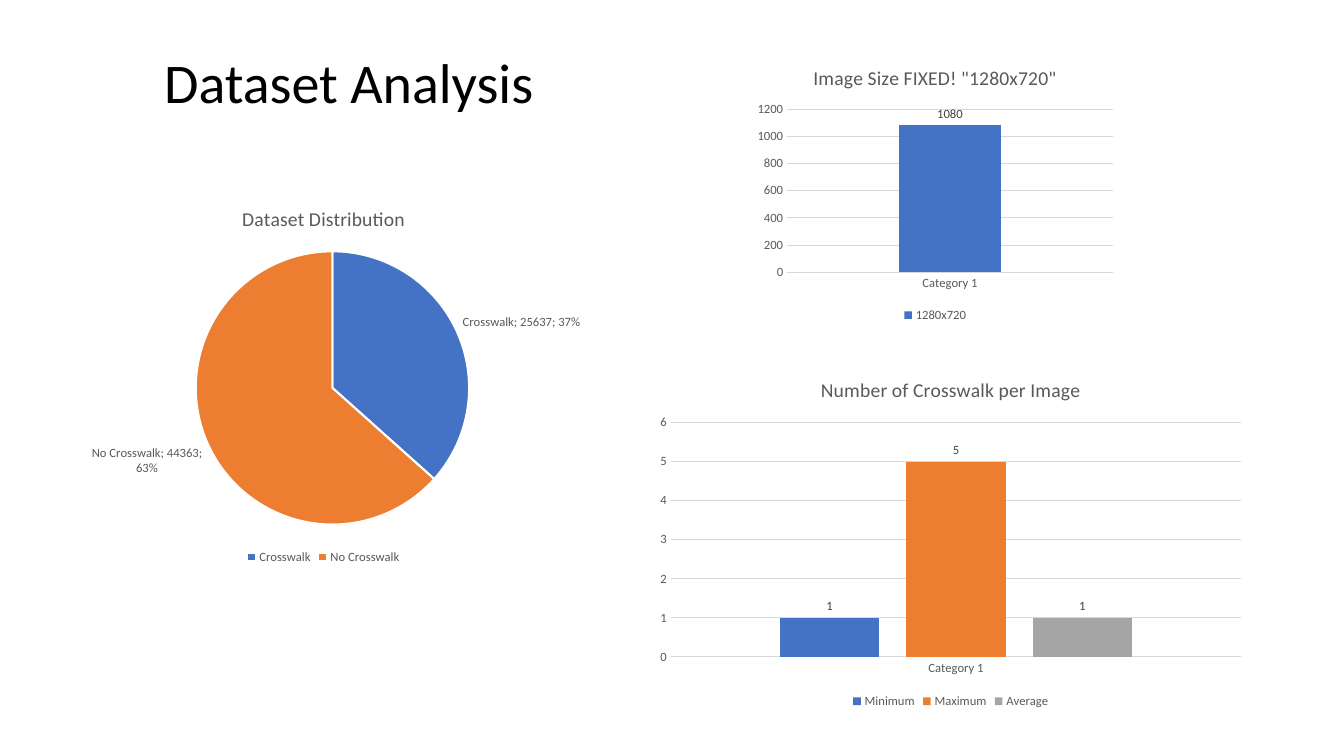
from dataclasses import dataclass

from lxml import etree
from pptx import Presentation
from pptx.chart.data import CategoryChartData
from pptx.dml.color import RGBColor
from pptx.enum.chart import XL_CHART_TYPE, XL_LABEL_POSITION, XL_LEGEND_POSITION, XL_TICK_MARK
from pptx.enum.text import MSO_ANCHOR
from pptx.oxml.ns import qn
from pptx.util import Inches, Pt

COLUMN = XL_CHART_TYPE.COLUMN_CLUSTERED
PIE = XL_CHART_TYPE.PIE
OUTSIDE_END = XL_LABEL_POSITION.OUTSIDE_END
LEGEND_BOTTOM = XL_LEGEND_POSITION.BOTTOM
NO_TICK = XL_TICK_MARK.NONE
ANCHOR_BOTTOM = MSO_ANCHOR.BOTTOM


@dataclass(frozen=True)
class Theme:
    font: str = "Calibri"
    black: str = "000000"
    white: str = "FFFFFF"
    muted: str = "595959"
    value_text: str = "404040"
    grid: str = "D9D9D9"
    palette: tuple = ("4472C4", "ED7D31", "A5A5A5")
    heading_size: int = 40
    chart_title_size: int = 14
    chart_size: int = 10
    small_size: int = 9


THEME = Theme()


def set_attributes(target, values):
    for name, value in values.items():
        setattr(target, name, value)


def style_font(font, size, color):
    set_attributes(font, {"name": THEME.font, "size": Pt(size), "bold": False})
    font.color.rgb = RGBColor.from_string(color)


def style_line(line, color, width):
    line.color.rgb = RGBColor.from_string(color)
    line.width = Pt(width)


def fill_solid(part, color):
    part.format.fill.solid()
    part.format.fill.fore_color.rgb = RGBColor.from_string(color)


def add_heading(slide, text, box):
    shape = slide.shapes.add_textbox(*map(Inches, box))
    frame = shape.text_frame
    set_attributes(frame, {"word_wrap": True, "vertical_anchor": ANCHOR_BOTTOM})
    paragraph = frame.paragraphs[0]
    paragraph.line_spacing = 0.9
    run = paragraph.add_run()
    run.text = text
    style_font(run.font, THEME.heading_size, THEME.black)


def add_chart(slide, kind, title, box, categories, series):
    data = CategoryChartData()
    data.categories = categories
    for name, values in series:
        data.add_series(name, values)
    chart = slide.shapes.add_chart(kind, *map(Inches, box), data).chart
    style_font(chart.font, THEME.chart_size, THEME.black)
    chart.has_title = True
    paragraph = chart.chart_title.text_frame.paragraphs[0]
    run = paragraph.add_run()
    run.text = title
    style_font(run.font, THEME.chart_title_size, THEME.muted)
    chart.has_legend = True
    set_attributes(chart.legend, {"position": LEGEND_BOTTOM, "include_in_layout": False})
    style_font(chart.legend.font, THEME.small_size, THEME.muted)
    return chart


def add_labels(series, color, shown):
    labels = series.data_labels
    set_attributes(labels, {"position": OUTSIDE_END, **shown})
    style_font(labels.font, THEME.small_size, color)
    return labels


def style_axis(axis):
    set_attributes(axis, {"major_tick_mark": NO_TICK, "minor_tick_mark": NO_TICK})
    style_font(axis.tick_labels.font, THEME.small_size, THEME.muted)


def add_column_chart(slide, title, box, series):
    chart = add_chart(slide, COLUMN, title, box, ["Category 1"], series)
    plot = chart.plots[0]
    set_attributes(plot, {"gap_width": 219, "overlap": -27, "vary_by_categories": False})
    for axis in (chart.category_axis, chart.value_axis):
        style_axis(axis)
    style_line(chart.category_axis.format.line, THEME.grid, 0.75)
    chart.value_axis.format.line.fill.background()
    style_line(chart.value_axis.major_gridlines.format.line, THEME.grid, 0.75)
    for column, color in zip(plot.series, THEME.palette):
        fill_solid(column, color)
        add_labels(column, THEME.value_text, {"show_value": True})


def add_pie_chart(slide, title, box, categories, values):
    chart = add_chart(slide, PIE, title, box, categories, [("Series 1", values)])
    plot = chart.plots[0]
    plot.vary_by_categories = True
    pie = plot.series[0]
    for index, color in enumerate(THEME.palette[:len(values)]):
        point = pie.points[index]
        fill_solid(point, color)
        style_line(point.format.line, THEME.white, 1.5)
    shown = {"show_value": True, "show_percentage": True, "show_category_name": True}
    add_labels(pie, THEME.muted, shown)
    separator = etree.Element(qn("c:separator"))
    separator.text = "; "
    labels_xml = plot.series[0].data_labels._element
    labels_xml.find(qn("c:showBubbleSize")).addnext(separator)


def main():
    presentation = Presentation()
    set_attributes(presentation, {"slide_width": Inches(13.33), "slide_height": Inches(7.5)})
    slide = presentation.slides.add_slide(presentation.slide_layouts[6])
    add_heading(slide, "Dataset Analysis", (1.53, -1.24, 6.35, 2.44))
    add_column_chart(slide, "Number of Crosswalk per Image", (6.43, 3.57, 6, 3.5),
                     [("Minimum", [1]), ("Maximum", [5]), ("Average", [1])])
    add_column_chart(slide, 'Image Size FIXED! "1280x720"', (7.44, 0.49, 3.67, 2.75),
                     [("1280x720", [1080])])
    add_pie_chart(slide, "Dataset Distribution", (0, 1.87, 6.42, 3.77),
                  ["Crosswalk", "No Crosswalk"], [25637, 44363])
    presentation.save("out.pptx")


if __name__ == "__main__":
    main()
